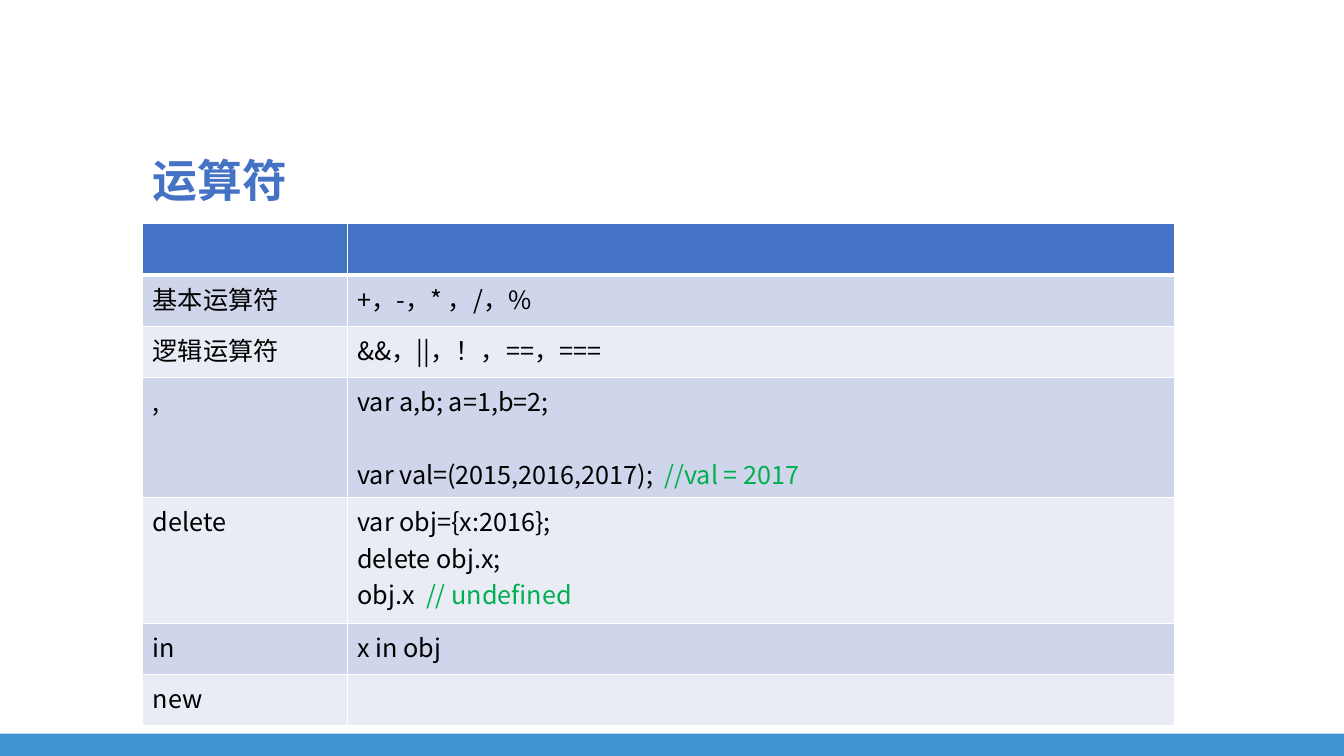
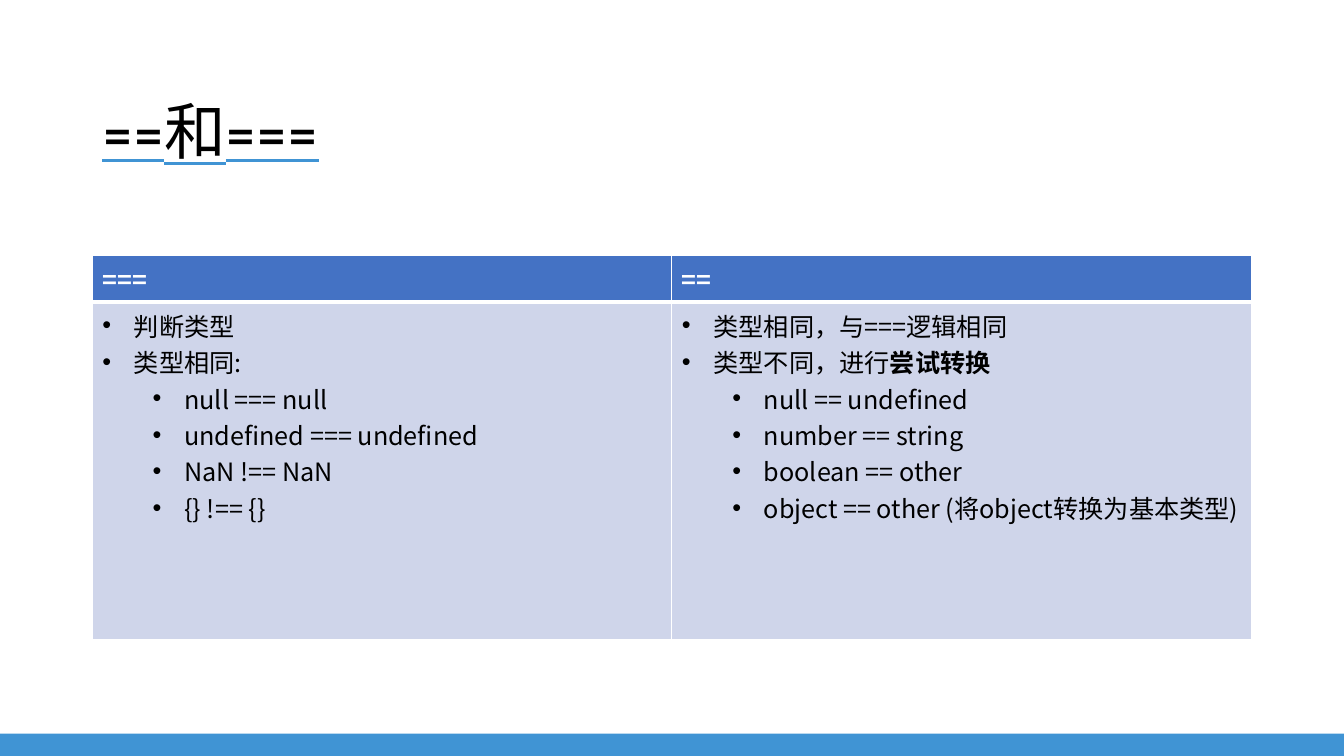
"""Build two slides on JavaScript operators and equality."""
import dataclasses

import lxml.etree
import pptx
import pptx.dml.color
import pptx.enum.shapes
import pptx.enum.text
import pptx.oxml.ns
import pptx.util

Pt = pptx.util.Pt
Anchor = pptx.enum.text.MSO_ANCHOR
qn = pptx.oxml.ns.qn


@dataclasses.dataclass(frozen=True)
class Theme:
    width: float = 960
    height: float = 540
    band_height: float = 16
    band: str = "4094D4"
    header: str = "4472C4"
    stripes: tuple = ("CFD5EA", "E9EBF5")
    white: str = "FFFFFF"
    black: str = "000000"
    comment: str = "00B050"
    body_font: str = "Noto Sans CJK SC"
    body_size: float = 18
    section_font: str = "Calibri"
    section_size: float = 32
    title_font: str = "Cabin"
    title_size: float = 44
    rule: float = 1
    header_rule: float = 3
    bullet_indent: float = 22.5
    level_indent: float = 36


@dataclasses.dataclass(frozen=True)
class Line:
    text: str
    comment: str = ""
    strong: str = ""
    level: int = -1
    space_after: float = 0


class Deck:
    def __init__(self, theme):
        self.theme = theme
        self.presentation = pptx.Presentation()
        self.presentation.slide_width = Pt(theme.width)
        self.presentation.slide_height = Pt(theme.height)
        self.slide = None

    def add_slide(self):
        layout = self.presentation.slide_layouts[5]
        self.slide = self.presentation.slides.add_slide(layout)
        self.bottom_band()

    def bottom_band(self):
        theme = self.theme
        band = self.slide.shapes.add_shape(
            pptx.enum.shapes.MSO_SHAPE.RECTANGLE, 0, Pt(theme.height - theme.band_height),
            Pt(theme.width), Pt(theme.band_height))
        band.shadow.inherit = False
        band.fill.solid()
        band.fill.fore_color.rgb = self.color(theme.band)
        band.line.fill.background()

    @staticmethod
    def color(value):
        return pptx.dml.color.RGBColor.from_string(value)

    def add_solid_fill(self, parent, value):
        fill = lxml.etree.SubElement(parent, qn("a:solidFill"))
        lxml.etree.SubElement(fill, qn("a:srgbClr"), val=value)

    def format_run(self, run, font, size, color, bold=False, underline=None):
        run.font.size = Pt(size)
        run.font.bold = bold
        run.font.color.rgb = self.color(color)
        properties = run.font._element
        if underline:
            run.font.underline = True
            self.add_solid_fill(lxml.etree.SubElement(properties, qn("a:uFill")), underline)
        lxml.etree.SubElement(properties, qn("a:latin"), typeface=font)
        lxml.etree.SubElement(properties, qn("a:ea"), typeface=self.theme.body_font)

    def title(self, text, box, anchor, **style):
        title = self.slide.shapes.title
        title.left, title.top, title.width, title.height = map(Pt, box)
        frame = title.text_frame
        frame.text = text
        frame.word_wrap = True
        frame.auto_size = pptx.enum.text.MSO_AUTO_SIZE.NONE
        frame.vertical_anchor = anchor
        paragraph = frame.paragraphs[0]
        paragraph.alignment = pptx.enum.text.PP_ALIGN.LEFT
        paragraph.line_spacing = 0.9
        self.format_run(paragraph.runs[0], **style)

    def table(self, left, top, columns, heights, rows):
        shape = self.slide.shapes.add_table(
            len(rows), len(columns), Pt(left), Pt(top), Pt(sum(columns)), Pt(sum(heights)))
        table = shape.table
        for column, width in zip(table.columns, columns):
            column.width = Pt(width)
        for index, (row, height, texts) in enumerate(zip(table.rows, heights, rows)):
            row.height = Pt(height)
            for cell, lines in zip(row.cells, texts):
                self.cell(cell, index, lines)

    def cell(self, cell, row, lines):
        theme = self.theme
        self.borders(cell, row)
        cell.fill.solid()
        fill = theme.stripes[(row - 1) % 2] if row else theme.header
        cell.fill.fore_color.rgb = self.color(fill)
        for index, line in enumerate(lines):
            frame = cell.text_frame
            paragraph = frame.add_paragraph() if index else frame.paragraphs[0]
            self.cell_line(paragraph, line, header=row == 0)

    def borders(self, cell, row):
        theme = self.theme
        top = theme.header_rule if row == 1 else theme.rule
        bottom = theme.header_rule if row == 0 else theme.rule
        properties = cell._tc.get_or_add_tcPr()
        for side, weight in zip("LRTB", (theme.rule, theme.rule, top, bottom)):
            border = lxml.etree.SubElement(properties, qn("a:ln" + side), w=str(Pt(weight)))
            self.add_solid_fill(border, theme.white)

    def cell_line(self, paragraph, line, header):
        theme = self.theme
        color = theme.white if header else theme.black
        parts = ((line.text, color, header), (line.strong, color, True),
                 (line.comment, theme.comment, False))
        for text, part_color, bold in parts:
            if text:
                run = paragraph.add_run()
                run.text = text
                self.format_run(run, theme.body_font, theme.body_size, part_color, bold)
        if line.space_after:
            paragraph.space_after = Pt(line.space_after)
        if line.level >= 0:
            self.bullet(paragraph, line.level)

    def bullet(self, paragraph, level):
        theme = self.theme
        paragraph.level = level
        properties = paragraph._p.get_or_add_pPr()
        properties.set("marL", str(Pt(theme.bullet_indent + level * theme.level_indent)))
        properties.set("indent", str(-Pt(theme.bullet_indent)))
        lxml.etree.SubElement(properties, qn("a:buFont"), typeface="Arial")
        lxml.etree.SubElement(properties, qn("a:buChar"), char="•")


def operators_slide(deck):
    theme = deck.theme
    deck.title("运算符", (101.9, 61.5, 756, 90), Anchor.BOTTOM, font=theme.section_font,
               size=theme.section_size, color=theme.header, bold=True)
    rows = [
        ([], []),
        ([Line("基本运算符")], [Line("+，-，* ，/，%")]),
        ([Line("逻辑运算符")], [Line("&&，||，！，==，===")]),
        ([Line(",")], [Line("var a,b; a=1,b=2;", space_after=26),
                       Line("var val=(2015,2016,2017);", comment="  //val = 2017")]),
        ([Line("delete")], [Line("var obj={x:2016};"), Line("delete obj.x;"),
                            Line("obj.x  ", comment="// undefined")]),
        ([Line("in")], [Line("x in obj")]),
        ([Line("new")], []),
    ]
    single = 36.6
    heights = [single] * 3 + [85.6, 90] + [single] * 2
    deck.table(101.9, 159.84, (146.2, 591.1), heights, rows)


def equality_slide(deck):
    theme = deck.theme
    deck.title("==和===", (65.9, 62.2, 828, 67.5), Anchor.MIDDLE, font=theme.title_font,
               size=theme.title_size, color=theme.black, underline=theme.band)
    strict = [Line("判断类型", level=0), Line("类型相同:", level=0)]
    strict += [Line(text, level=1) for text in (
        "null === null", "undefined === undefined", "NaN !== NaN", "{} !== {}")]
    loose = [Line("类型相同，与===逻辑相同", level=0),
             Line("类型不同，进行", strong="尝试转换", level=0)]
    loose += [Line(text, level=1) for text in (
        "null == undefined", "number == string", "boolean == other",
        "object == other (将object转换为基本类型)")]
    rows = [([Line("===")], [Line("==")]), (strict, loose)]
    deck.table(65.9, 182.3, (414, 414), (33, 241), rows)


def main():
    deck = Deck(Theme())
    deck.add_slide()
    operators_slide(deck)
    deck.add_slide()
    equality_slide(deck)
    deck.presentation.save("out.pptx")


main()
